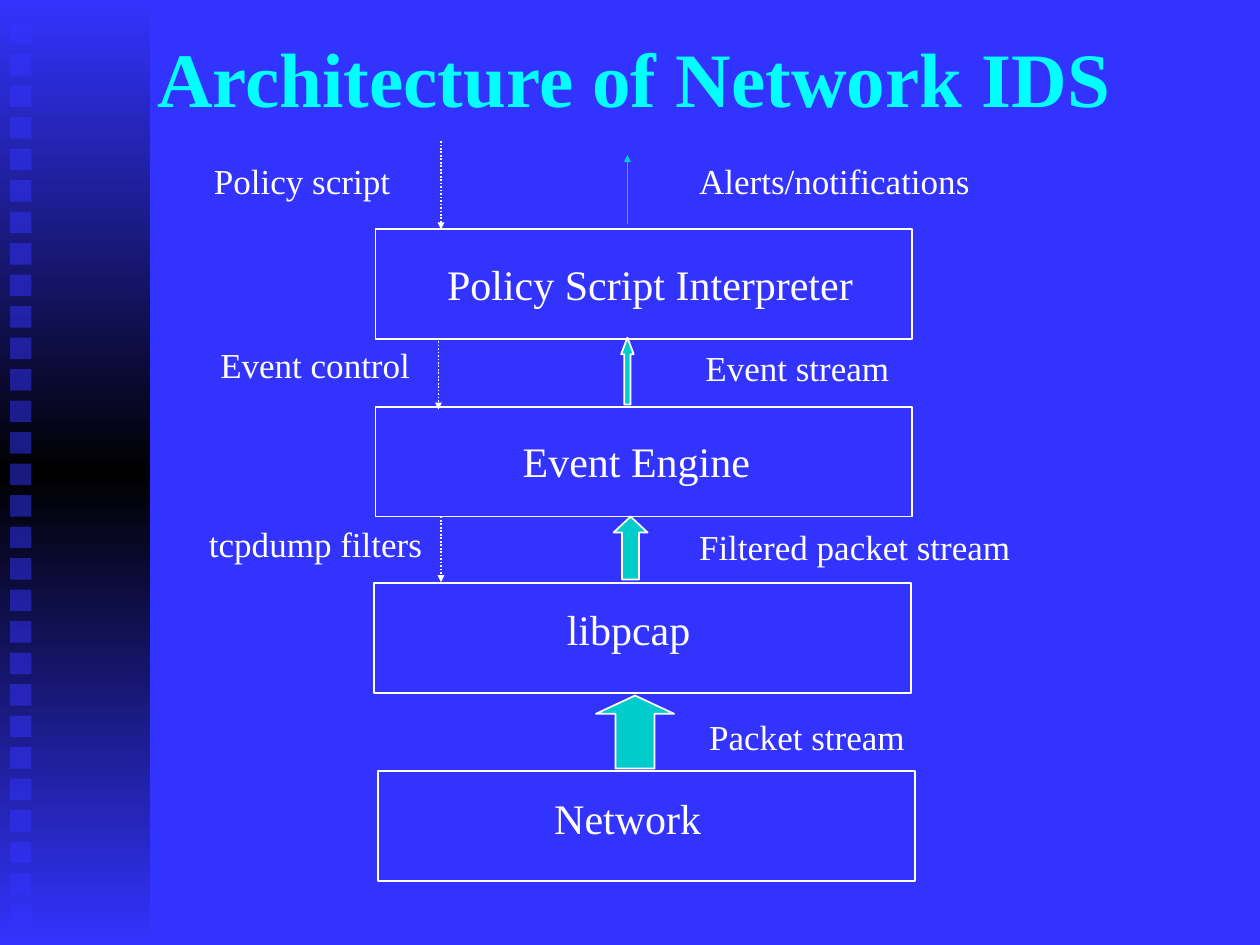
from copy import deepcopy

from lxml import etree
from pptx import Presentation
from pptx import util as u
from pptx.dml.color import RGBColor
from pptx.enum import dml, shapes, text
from pptx.oxml.ns import qn

BLUE = RGBColor(0x33, 0x33, 0xFF)
BLACK = RGBColor(0, 0, 0)
WHITE = RGBColor(0xFF, 0xFF, 0xFF)
CYAN = RGBColor(0, 0xFF, 0xFF)
TEAL = RGBColor(0, 0xCC, 0xCC)

SQUARE_COUNT = 29
SQUARE_PITCH = 0.25
LAYER_SIZE = (4.26, 0.87)

# Layer name, its text box, and the left and top of its rectangle
LAYERS = [
    ("Network", (4.3, 6.24, 1.42, 0.5), (3, 6.12)),
    ("libpcap", (4.4, 4.74, 1.24, 0.5), (2.97, 4.63)),
    ("Event Engine", (4.05, 3.41, 2.06, 0.5), (2.98, 3.23)),
    ("Policy Script Interpreter", (3.45, 2, 3.48, 0.5), (2.98, 1.82)),
]
# Block arrow box and the length of its head relative to its width
STREAMS = [
    ((4.73, 5.52, 0.62, 0.58), 0.25),
    ((4.87, 4.1, 0.27, 0.5), 0.47),
    ((4.93, 2.68, 0.1, 0.53), 1.32),
]
FLOW_LABELS = [
    ("Packet stream", (5.53, 5.63, 1.81, 0.44)),
    ("Filtered packet stream", (5.45, 4.12, 2.73, 0.44)),
    ("Event stream", (5.5, 2.7, 1.72, 0.44)),
    ("Alerts/notifications", (5.45, 1.22, 2.41, 0.44)),
    ("Policy script", (1.6, 1.22, 1.66, 0.44)),
    ("Event control", (1.65, 2.68, 1.76, 0.44)),
    ("tcpdump filters", (1.56, 4.1, 1.95, 0.44)),
]
# Centre, start and end of each downward control arrow
CONTROLS = [(3.5, 1.12, 1.82), (3.48, 2.68, 3.25), (3.5, 4.1, 4.62)]


def inches(values):
    return [u.Inches(value) for value in values]


def set_attributes(target, values):
    for name, value in values.items():
        setattr(target, name, value)


class Diagram:
    font_name = "Times New Roman"
    line_width = u.Pt(1)

    def __init__(self, slide):
        self.slide = slide
        fill = slide.background.fill
        fill.solid()
        fill.fore_color.rgb = BLUE

    def label(self, words, box, size, color=WHITE, **frame_format):
        frame = self.slide.shapes.add_textbox(*inches(box)).text_frame
        set_attributes(frame, {"word_wrap": True, **frame_format})
        paragraph = frame.paragraphs[0]
        paragraph.text = words
        font = paragraph.font
        set_attributes(font, {"name": self.font_name, "size": u.Pt(size)})
        font.color.rgb = color
        return font

    def block(self, box, fill=None, line=None, kind=shapes.MSO_SHAPE.RECTANGLE):
        block = self.slide.shapes.add_shape(kind, *inches(box))
        block.shadow.inherit = False
        if fill is None:
            block.fill.background()
        else:
            block.fill.solid()
            block.fill.fore_color.rgb = fill
        if line is None:
            block.line.fill.background()
        else:
            block.line.color.rgb = line
            block.line.width = self.line_width
        return block

    def band(self, box, colors):
        """Draw a rectangle with an even vertical gradient of three colours."""
        band = self.block(box)
        band.fill.gradient()
        band.fill.gradient_angle = 270
        stop_list = band._element.spPr.find(".//" + qn("a:gsLst"))
        stop_list.append(deepcopy(stop_list[0]))
        for index, (stop, color) in enumerate(zip(band.fill.gradient_stops, colors)):
            stop.color.rgb = color
            stop.position = index / (len(colors) - 1)

    def translucent_square(self, box, color, percent):
        square = self.block(box, fill=color)
        tint = square._element.spPr.find(".//" + qn("a:srgbClr"))
        etree.SubElement(tint, qn("a:alpha")).set("val", str(percent * 1000))

    def stream_arrow(self, box, head):
        arrow = self.block(box, TEAL, WHITE, shapes.MSO_SHAPE.UP_ARROW)
        arrow.adjustments[0] = 0.5
        arrow.adjustments[1] = head

    def thin_arrow(self, x, start, end, color, dash=None):
        arrow = self.slide.shapes.add_connector(
            shapes.MSO_CONNECTOR.STRAIGHT, *inches((x, start, x, end)))
        arrow.line.color.rgb = color
        set_attributes(arrow.line, {"width": self.line_width, "dash_style": dash})
        tail = etree.SubElement(arrow.line._get_or_add_ln(), qn("a:tailEnd"))
        for name, value in {"type": "triangle", "w": "sm", "len": "sm"}.items():
            tail.set(name, value)
        etree.SubElement(arrow._element.spPr, qn("a:effectLst"))


def main():
    deck = Presentation()
    deck.slide_width, deck.slide_height = inches((10, 7.5))
    diagram = Diagram(deck.slides.add_slide(deck.slide_layouts[6]))

    diagram.band((0, 0, 1.19, 7.5), (BLUE, BLACK, BLUE))
    for row in range(SQUARE_COUNT):
        top = 0.18 + row * SQUARE_PITCH
        diagram.translucent_square((0.08, top, 0.17, 0.17), BLUE, 50)

    title_font = diagram.label(
        "Architecture of Network IDS", (1.15, 0.17, 8.43, 0.88), 44, CYAN,
        vertical_anchor=text.MSO_ANCHOR.MIDDLE)
    title_font.bold = True

    for name, name_box, corner in LAYERS:
        diagram.block(corner + LAYER_SIZE, line=WHITE)
        diagram.label(name, name_box, 24)
    for box, head in STREAMS:
        diagram.stream_arrow(box, head)
    for words, box in FLOW_LABELS:
        diagram.label(words, box, 20)

    diagram.thin_arrow(4.98, 1.78, 1.23, TEAL)
    for x, start, end in CONTROLS:
        diagram.thin_arrow(x, start, end, WHITE, dml.MSO_LINE.ROUND_DOT)

    deck.save("out.pptx")


if __name__ == "__main__":
    main()
